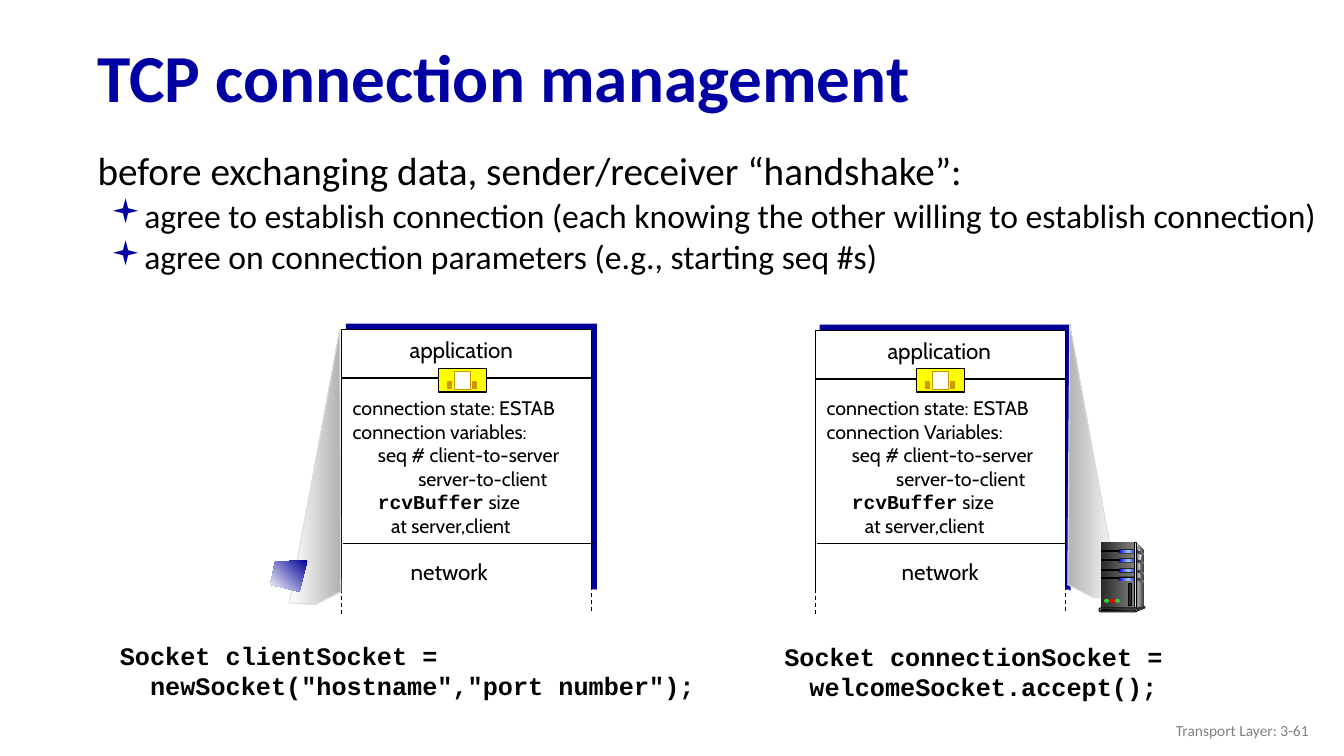
from lxml.etree import SubElement as Sub
from pptx import Presentation as Deck
from pptx.dml.color import RGBColor as RGB
from pptx.enum.dml import MSO_LINE as Dash
from pptx.enum.shapes import MSO_CONNECTOR as Link, MSO_SHAPE as Form
from pptx.enum.text import MSO_ANCHOR as Anchor, PP_ALIGN as Align
from pptx.oxml.ns import qn
from pptx.util import Inches, Pt

BLACK = RGB(0, 0, 0)
WHITE = RGB(255, 255, 255)
NAVY = RGB(0, 0, 0x99)
TITLE = RGB(0, 0, 0xA3)
YELLOW = RGB(255, 255, 0)
GOLD = RGB(0xCC, 0x99, 0)
SILVER = RGB(0xB2, 0xB2, 0xB2)
PALE = RGB(0xDD, 0xDD, 0xDD)
SHINE = RGB(0xF8, 0xF8, 0xF8)
GRAY = RGB(0x80, 0x80, 0x80)
DARK = RGB(0x33, 0x33, 0x33)
COAL = RGB(0x29, 0x29, 0x29)
BLUE = RGB(0, 0, 255)
SKY = RGB(0x99, 0xCC, 0xFF)
GREEN = RGB(0x33, 0xCC, 0x33)
RED = RGB(255, 0, 0)
SANS, HAND, CODE = "Calibri", "Cabin", "Courier New"


class Page:
    """Draw styled elements on the current slide."""

    def __init__(self, deck):
        self.slide = deck.slides.add_slide(deck.slide_layouts[6])
        self.kit = self.slide.shapes

    def group(self):
        self.kit = self.slide.shapes.add_group_shape().shapes

    def leave(self):
        self.kit = self.slide.shapes

    def paint(self, shape, fill, line=None, turn=0):
        shape.shadow.inherit = False
        if isinstance(fill, RGB):
            shape.fill.solid()
            shape.fill.fore_color.rgb = fill
        else:
            shape.fill.gradient()
            shape.fill.gradient_angle = turn
            stops = shape._element.spPr.find(qn("a:gradFill")).find(qn("a:gsLst"))
            for stop in list(stops):
                stops.remove(stop)
            for i, color in enumerate(fill):
                spot = str(100000 * i // (len(fill) - 1))
                stop = Sub(stops, qn("a:gs"), pos=spot)
                Sub(stop, qn("a:srgbClr"), val=str(color))
        if line is None:
            shape.line.fill.background()
        else:
            shape.line.color.rgb = line
            shape.line.width = Pt(0.75)

    def block(self, x, y, w, h, fill, line=None, form=Form.RECTANGLE):
        shape = self.kit.add_shape(form, Inches(x), Inches(y), Inches(w), Inches(h))
        if form == Form.ROUNDED_RECTANGLE:
            shape.adjustments[0] = 0.5
        self.paint(shape, fill, line)

    def pill(self, x, y, w, h, fill, line=None):
        self.block(x, y, w, h, fill, line, Form.ROUNDED_RECTANGLE)

    def dot(self, x, y, w, h, fill):
        self.block(x, y, w, h, fill, form=Form.OVAL)

    def patch(self, points, fill, line=None, turn=0):
        spots = [(Inches(x), Inches(y)) for x, y in points]
        pen = self.kit.build_freeform(*spots[0], scale=1.0)
        pen.add_line_segments(spots[1:], close=True)
        self.paint(pen.convert_to_shape(), fill, line, turn)

    def rule(self, x, y, w, h, dash=None):
        line = self.kit.add_connector(
            Link.STRAIGHT, Inches(x), Inches(y), Inches(x + w), Inches(y + h))
        line.line.color.rgb = BLACK
        line.line.width = Pt(0.75)
        line.line.dash_style = dash
        Sub(line._element.spPr, qn("a:effectLst"))

    def text(self, x, y, w, h, rows, size, font, color=BLACK, bold=False,
             align=Align.LEFT, wrap=True, anchor=Anchor.TOP, space=None):
        box = self.kit.add_textbox(Inches(x), Inches(y), Inches(w), Inches(h))
        frame = box.text_frame
        frame.word_wrap = wrap
        frame.vertical_anchor = anchor
        for i, (left, first, runs) in enumerate(rows):
            para = frame.paragraphs[0] if i == 0 else frame.add_paragraph()
            para.alignment = align
            para.line_spacing = space
            prop = para._p.get_or_add_pPr()
            prop.set("marL", str(Inches(left)))
            prop.set("indent", str(Inches(first)))
            for words, *style in runs:
                run = para.add_run()
                run.text = words
                face, heavy, points = style or (font, bold, size)
                run.font.name = face
                run.font.bold = heavy
                run.font.size = Pt(points)
                run.font.color.rgb = color
        return frame

    def label(self, x, y, w, words):
        self.text(x, y, w, 0.37, [(0, 0, [(words,)])], 16, HAND,
                  align=Align.CENTER, wrap=False)

    def bullet(self, para):
        para.space_before = Pt(4)
        prop = para._p.get_or_add_pPr()
        Sub(Sub(prop, qn("a:buClr")), qn("a:srgbClr"), val=str(TITLE))
        Sub(prop, qn("a:buFont"), typeface="Wingdings")
        Sub(prop, qn("a:buChar"), char="▪")

    def stack(self, x, y, title, step, door, name):
        self.block(x + 0.04, y - 0.06, 2.49, 2.64, NAVY)
        self.block(x, y, 2.48, 2.7, WHITE, BLACK)
        self.rule(x, y + 0.48, 2.48, 0)
        rows = [(0, 0, [("connection state: ESTAB",)]), (0, 0, [(title,)]),
                (0.25, 0, [("seq # client-to-server",)]),
                (step, 0, [("server-to-client",)]),
                (0.25, 0, [("rcvBuffer", CODE, True, 14), (" size",)]),
                (0.38, 0, [("at server,client",)])]
        self.text(x + 0.01, 3.88, 2.55, 1.73, rows, 14, HAND)
        self.group()
        self.block(door, 3.66, 0.48, 0.23, YELLOW, BLACK)
        self.block(door + 0.16, 3.69, 0.16, 0.17, WHITE, GOLD)
        for shift in (0.34, 0.09):
            self.block(door + shift, 3.79, 0.04, 0.06, GOLD, GOLD)
        self.leave()
        self.label(door - 0.4, y + 0.02, 1.25, "application")
        self.rule(x + 0.01, 5.39, 2.48, 0)
        self.label(name, 5.49, 0.99, "network")
        self.block(x - 0.03, 5.85, 2.55, 0.2, WHITE)
        self.rule(x, 5.84, 0, 0.26, Dash.DASH)
        self.rule(x + 2.48, 5.81, 0, 0.26, Dash.DASH)

    def server(self):
        self.group()
        self.patch([(11.27, 5.38), (11.35, 5.47), (11.35, 6.01), (11.26, 6.04)],
                   (PALE, DARK))
        self.block(10.92, 5.38, 0.34, 0.65, (COAL, GRAY))
        self.patch([(11.28, 5.42), (11.32, 5.48), (11.3, 5.72), (11.28, 6.02)],
                   (GRAY, SHINE))
        for y in (5.46, 5.55, 5.65, 5.73):
            self.block(10.92, y, 0.19, 0.01, BLACK, BLACK)
            self.pill(11.09, y - 0.01, 0.19, 0.04, BLACK)
            self.pill(11.1, y, 0.18, 0.03, (BLUE, SKY, BLUE))
        self.block(11.25, 5.38, 0.02, 0.65, (DARK, PALE, DARK), BLACK)
        for y in (5.46, 5.55, 5.65, 5.73):
            self.patch([(11.27, y), (11.35, y + 0.03), (11.35, y + 0.05),
                        (11.27, y + 0.02)], (COAL, GRAY))
        self.dot(11.34, 6.01, 0.02, 0.03, DARK)
        self.patch([(11.27, 6.03), (11.27, 6.07), (11.35, 6.04), (11.35, 6.01)], DARK)
        self.pill(10.9, 6.03, 0.38, 0.04, PALE, BLACK)
        self.pill(10.92, 6.04, 0.34, 0.02, (BLACK, GRAY), BLACK)
        for x, color in ((10.95, GREEN), (11.01, RED), (11.06, GREEN)):
            self.dot(x, 5.94, 0.05, 0.04, color)
        self.block(11.19, 5.79, 0.03, 0.22, COAL, BLACK)
        self.leave()


def main():
    deck = Deck()
    deck.slide_width, deck.slide_height = Inches(13.33), Inches(7.5)
    page = Page(deck)
    page.text(0.87, 0.31, 12.46, 0.98, [(0, 0, [("TCP connection management",)])],
              48, SANS, TITLE, True, anchor=Anchor.MIDDLE, space=0.9)
    lead = "before exchanging data, sender/receiver “handshake”:"
    goals = ("agree to establish connection (each knowing the other willing"
             " to establish connection)",
             "agree on connection parameters (e.g., starting seq #s)")
    rows = [(0.01, 0, [(lead, SANS, False, 28)])]
    rows += [(0.38, -0.24, [(goal,)]) for goal in goals]
    body = page.text(0.86, 1.45, 12.39, 2.39, rows, 24, SANS, space=0.9)
    for para in body.paragraphs[1:]:
        page.bullet(para)
    page.stack(3.39, 3.27, "connection variables:", 0.65, 4.35, 3.96)
    page.patch([(2.87, 5.98), (3.37, 3.27), (3.38, 5.87), (3.12, 6)],
               (WHITE, SILVER), PALE)
    page.stack(8.09, 3.28, "connection Variables:", 0.69, 9.09, 8.83)
    page.patch([(11.1, 5.92), (10.61, 3.21), (10.59, 5.8), (10.85, 5.93)],
               (SILVER, WHITE), PALE)
    page.text(1.09, 6.3, 6.16, 0.71,
              [(0.25, -0.25, [("Socket clientSocket =",)]),
               (0.25, -0.25, [('  newSocket("hostname","port number");',)])],
              18, CODE, bold=True)
    call = "Socket connectionSocket = welcomeSocket.accept();"
    page.text(7.68, 6.31, 4.55, 0.71, [(0.25, -0.25, [(call,)])], 18, CODE, bold=True)
    page.patch([(3.05, 5.56), (2.73, 5.57), (2.68, 5.8), (2.97, 5.87)],
               (NAVY, WHITE), turn=225)
    page.server()
    page.text(10.08, 7.05, 3, 0.4, [(0, 0, [("Transport Layer: 3-61",)])], 11, SANS,
              GRAY, align=Align.RIGHT, anchor=Anchor.MIDDLE)
    deck.save("out.pptx")


if __name__ == "__main__":
    main()
